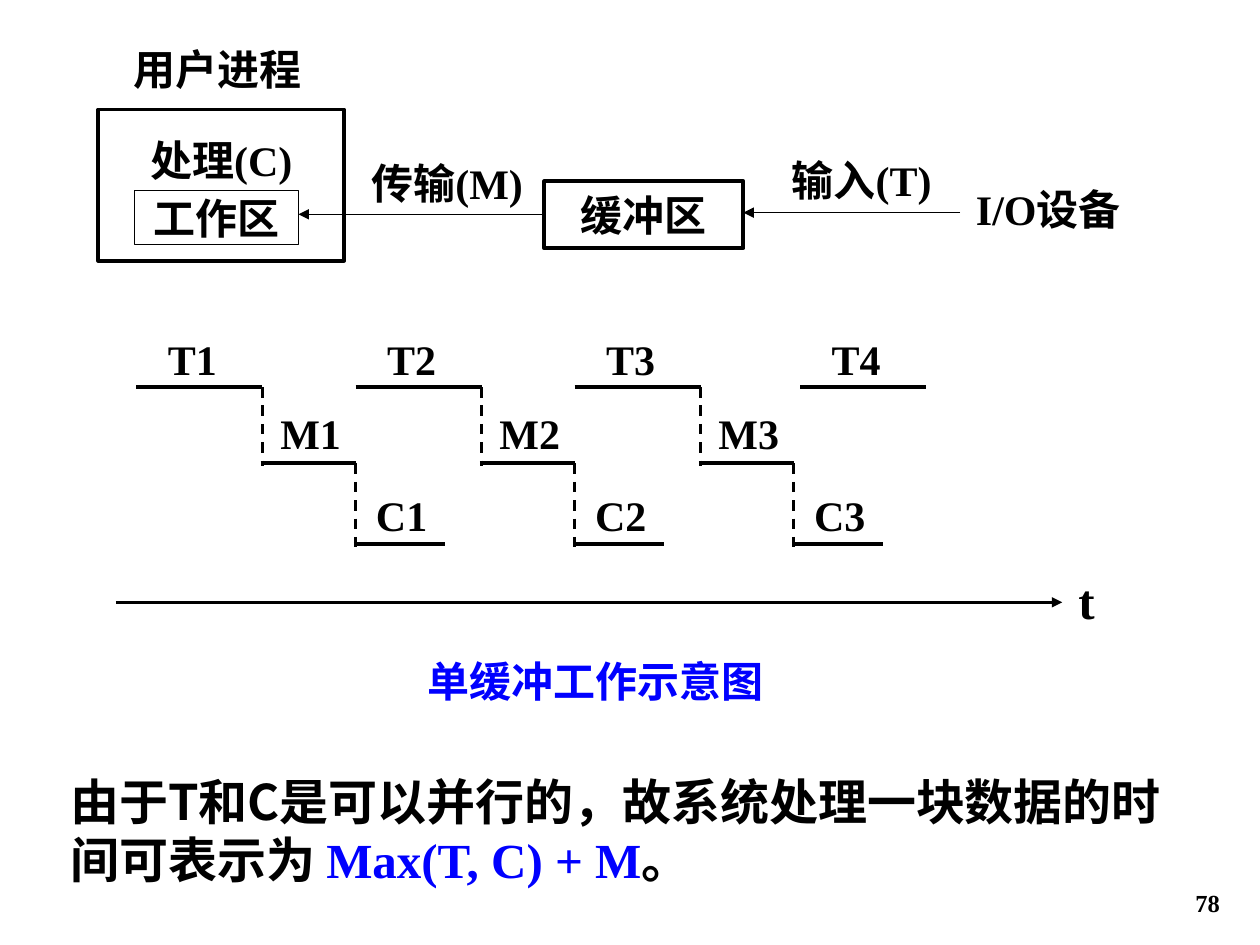
import pptx
import pptx.dml.color
import pptx.enum.dml
import pptx.enum.shapes
import pptx.enum.text
import pptx.oxml.ns
import pptx.util
from lxml import etree

Pt = pptx.util.Pt
ALIGN = pptx.enum.text.PP_ALIGN
ANCHOR = pptx.enum.text.MSO_ANCHOR
qn = pptx.oxml.ns.qn

BLACK = pptx.dml.color.RGBColor(0x00, 0x00, 0x00)
BLUE = pptx.dml.color.RGBColor(0x00, 0x00, 0xFF)
SERIF = "Times New Roman"
SANS = "Noto Sans CJK SC"
NORMAL_INSETS = (7.2, 3.6)
TIGHT_INSETS = (1.44, 0.72)


class DiagramSlide:
    def __init__(self, slide):
        self.slide = slide

    def fill_text(self, shape, runs, size=24, align=ALIGN.CENTER, anchor=ANCHOR.TOP,
                  insets=NORMAL_INSETS, wrap=True):
        """Fill a shape with one bold paragraph of (text, font, colour) runs."""
        frame = shape.text_frame
        frame.word_wrap = wrap
        frame.auto_size = pptx.enum.text.MSO_AUTO_SIZE.NONE
        frame.vertical_anchor = anchor
        frame.margin_left = frame.margin_right = Pt(insets[0])
        frame.margin_top = frame.margin_bottom = Pt(insets[1])
        paragraph = frame.paragraphs[0]
        paragraph.alignment = align
        paragraph.space_before = Pt(0)
        for text, font_name, colour in runs:
            run = paragraph.add_run()
            run.text = text
            run.font.name = font_name
            run.font.size = Pt(size)
            run.font.bold = True
            run.font.color.rgb = colour
            east_asian = etree.SubElement(run.font._element, qn("a:ea"))
            east_asian.set("typeface", SANS)
        return paragraph

    def label(self, text, left, top, width, height=36, **style):
        shape = self.slide.shapes.add_textbox(Pt(left), Pt(top), Pt(width), Pt(height))
        self.fill_text(shape, [(text, SERIF, BLACK)], **style)

    def placeholder(self, shape, runs, left, top, width, height, **style):
        shape.left, shape.top = Pt(left), Pt(top)
        shape.width, shape.height = Pt(width), Pt(height)
        paragraph = self.fill_text(shape, runs, **style)
        properties = paragraph._p.get_or_add_pPr()
        properties.set("marL", "0")
        properties.set("indent", "0")
        etree.SubElement(properties, qn("a:buNone"))

    def box(self, text, left, top, width, height, weight, **style):
        shape = self.slide.shapes.add_shape(
            pptx.enum.shapes.MSO_SHAPE.RECTANGLE, Pt(left), Pt(top), Pt(width), Pt(height))
        shape.shadow.inherit = False
        shape.fill.background()
        shape.line.color.rgb = BLACK
        shape.line.width = Pt(weight)
        self.fill_text(shape, [(text, SERIF, BLACK)], **style)

    def line(self, start, end, weight, dashed=False, arrow=False):
        connector = self.slide.shapes.add_connector(
            pptx.enum.shapes.MSO_CONNECTOR.STRAIGHT, *map(Pt, start + end))
        connector.line.color.rgb = BLACK
        connector.line.width = Pt(weight)
        if dashed:
            connector.line.dash_style = pptx.enum.dml.MSO_LINE.DASH
        if arrow:
            outline = connector.line._get_or_add_ln()
            etree.SubElement(outline, qn("a:tailEnd")).set("type", "triangle")
        etree.SubElement(connector._element.spPr, qn("a:effectLst"))


def draw_buffer_flow(diagram):
    diagram.label("用户进程", 50.4, 21.6, 147.6)
    diagram.box("处理(C)", 56.2, 62.6, 140.4, 86.4, 2.25, insets=(7.2, 14))
    diagram.box("工作区", 77, 108.7, 93.6, 31, 0.75,
                anchor=ANCHOR.MIDDLE, insets=TIGHT_INSETS, wrap=False)
    diagram.box("缓冲区", 311, 103.7, 113.8, 38.2, 2.25,
                anchor=ANCHOR.MIDDLE, insets=TIGHT_INSETS, wrap=False)
    for text, left, top in (("传输(M)", 199.4, 89.3), ("输入(T)", 436.3, 87.8),
                            ("I/O设备", 542.9, 104.4)):
        diagram.label(text, left, top, 112.3, 30.2, insets=TIGHT_INSETS)
    diagram.line((548.6, 121.5), (424.8, 121.5), 0.75, arrow=True)
    diagram.line((310.3, 122.5), (170.6, 122.5), 0.75, arrow=True)


def draw_timeline(diagram):
    cycle_left, cycle_step = 78, 125.2
    input_y, transfer_y, process_y = 221.2, 264.8, 311
    # Stage letter, offset in the cycle, length, height of its bar, label offset
    stages = (("T", 0, 72, input_y, 0),
              ("M", 71, 54.2, transfer_y, 67.5),
              ("C", 124.2, 52, process_y, 119.5))
    label_rise = {"T": 34.4, "M": 35.5, "C": 34.9}

    def draw_stage(stage, left, number):
        letter, offset, length, y, label_offset = stage
        diagram.line((left + offset, y), (left + offset + length, y), 2.25)
        diagram.label(f"{letter}{number}", left + label_offset, y - label_rise[letter], 64)

    for index in range(3):
        left = cycle_left + index * cycle_step
        for stage in stages:
            draw_stage(stage, left, index + 1)
        for offset, top, bottom in ((72, input_y, transfer_y),
                                    (cycle_step, transfer_y, process_y)):
            diagram.line((left + offset, top), (left + offset, bottom + 1.5), 1.5, dashed=True)
    draw_stage(stages[0], 457.2, 4)

    diagram.line((66.2, 344.2), (607, 344.2), 1.5, arrow=True)
    diagram.label("t", 609.1, 322.6, 34.6, 41, size=28, align=ALIGN.LEFT)


def main():
    presentation = pptx.Presentation()
    presentation.slide_width, presentation.slide_height = Pt(720), Pt(540)
    slide = presentation.slides.add_slide(presentation.slide_layouts[1])
    diagram = DiagramSlide(slide)

    draw_buffer_flow(diagram)
    draw_timeline(diagram)
    diagram.placeholder(slide.shapes.title, [("单缓冲工作示意图", SANS, BLUE)],
                        159.8, 370.8, 361.4, 36)
    diagram.placeholder(
        slide.placeholders[1],
        [("由于T和C是可以并行的，故系统处理一块数据的时间可表示为 ", SANS, BLACK),
         ("Max(T, C) + M", SERIF, BLUE),
         ("。", SANS, BLACK)],
        33.1, 437, 642.2, 74.2, size=28, align=ALIGN.LEFT)
    diagram.label("78", 554.4, 491.8, 149.8, size=14, align=ALIGN.RIGHT, anchor=ANCHOR.BOTTOM)
    presentation.save("out.pptx")


if __name__ == "__main__":
    main()
